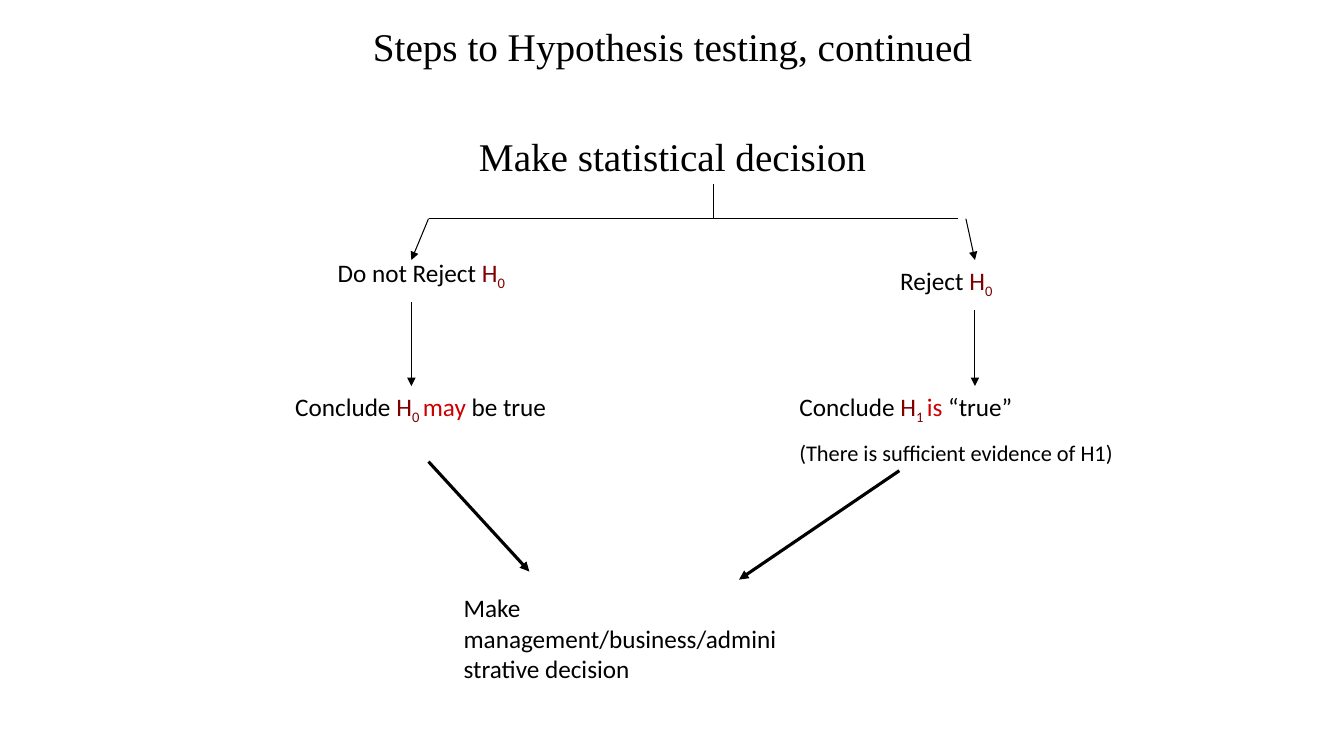
from lxml import etree
from pptx import Presentation, util as u
from pptx.dml.color import RGBColor
from pptx.enum import shapes, text
from pptx.oxml.ns import qn

BLACK, MAROON, RED = "000000", "800000", "CC0000"


def rgb(value):
    return RGBColor.from_string(value)


def hypothesis(index):
    """Runs for the symbol H with a subscript."""
    return [("H", MAROON), (index, MAROON, True)]


class HypothesisSlide:
    heading_font, label_font = "Times New Roman", "Calibri"
    heading_size, label_size, note_size = 28, 18, 16

    def __init__(self, prs):
        self.s = prs.slides.add_slide(prs.slide_layouts[1])

    def format_run(self, r, font, size, color):
        r.font.name, r.font.size = font, u.Pt(size)
        r.font.color.rgb = rgb(color)

    def heading(self, sp, words, top):
        """Move a placeholder and fill it with one centred line."""
        sp.left, sp.top = u.Inches(2.42), u.Inches(top)
        sp.width, sp.height = u.Inches(8.5), u.Inches(0.55)
        tf = sp.text_frame
        tf.text = words
        tf.word_wrap = True
        tf.auto_size = text.MSO_AUTO_SIZE.NONE
        tf.vertical_anchor = text.MSO_ANCHOR.TOP
        p = tf.paragraphs[0]
        p.alignment = text.PP_ALIGN.CENTER
        p.space_before = u.Pt(0)
        pPr = p._p.get_or_add_pPr()
        pPr.set("marL", "0")
        pPr.set("indent", "0")
        etree.SubElement(pPr, qn("a:buNone"))
        self.format_run(p.runs[0], self.heading_font, self.heading_size, BLACK)

    def label(self, left, top, width, height, runs, note=None):
        """Add a text box from (text, colour, subscript) runs and an optional note."""
        sp = self.s.shapes.add_textbox(*map(u.Inches, (left, top, width, height)))
        tf = sp.text_frame
        tf.word_wrap = True
        p = tf.paragraphs[0]
        for words, color, *subscript in runs:
            r = p.add_run()
            r.text = words
            self.format_run(r, self.label_font, self.label_size, color)
            if subscript:
                r._r.get_or_add_rPr().set("baseline", "-25000")
        if note:
            p = tf.add_paragraph()
            p.text = note
            p.space_before = u.Pt(10)
            self.format_run(p.runs[0], self.label_font, self.note_size, BLACK)

    def line(self, start, end, width=0.75, arrow=True):
        c = self.s.shapes.add_connector(
            shapes.MSO_CONNECTOR.STRAIGHT, *map(u.Inches, (*start, *end)))
        c.line.color.rgb = rgb(BLACK)
        c.line.width = u.Pt(width)
        if arrow:
            etree.SubElement(c.line._get_or_add_ln(), qn("a:tailEnd"), type="triangle")
        etree.SubElement(c._element.spPr, qn("a:effectLst"))


def main():
    prs = Presentation()
    prs.slide_width, prs.slide_height = u.Inches(13.33), u.Inches(7.5)
    slide = HypothesisSlide(prs)
    title, body = slide.s.placeholders
    slide.heading(title, "Steps to Hypothesis testing, continued", 0.17)
    slide.heading(body, "Make statistical decision", 1.26)

    # Fork from the statistical decision
    fork_y, left_x, right_x = 2.17, 4.08, 9.67
    slide.line((7.08, 1.83), (7.08, fork_y), arrow=False)
    slide.line((4.25, fork_y), (9.5, fork_y), arrow=False)
    slide.line((4.25, fork_y), (left_x, 2.58))
    slide.line((9.58, fork_y), (right_x, 2.58))

    # Two outcomes and their conclusions
    slide.label(3.25, 2.5, 2.58, 0.4, [("Do not Reject ", BLACK), *hypothesis("0")])
    slide.label(8.83, 2.58, 1.58, 0.4, [("Reject ", BLACK), *hypothesis("0")])
    slide.line((left_x, 3), (left_x, 3.83))
    slide.line((right_x, 3.08), (right_x, 3.83))
    slide.label(2.83, 3.83, 3.5, 0.4, [
        ("Conclude ", BLACK), *hypothesis("0 "), ("may", RED), (" be true", BLACK)])
    slide.label(7.83, 3.83, 3.5, 0.81, [
        ("Conclude ", BLACK), *hypothesis("1 "), ("is", RED), (" “true”", BLACK)],
        note="(There is sufficient evidence of H1)")

    # Both branches lead to the final decision
    slide.line((4.25, 4.58), (5.25, 5.67), width=2.25)
    slide.line((8.92, 4.67), (7.33, 5.75), width=2.25)
    slide.label(4.5, 5.83, 3.33, 1.01, [
        ("Make management/business/administrative decision", BLACK)])

    prs.save("out.pptx")


if __name__ == "__main__":
    main()
